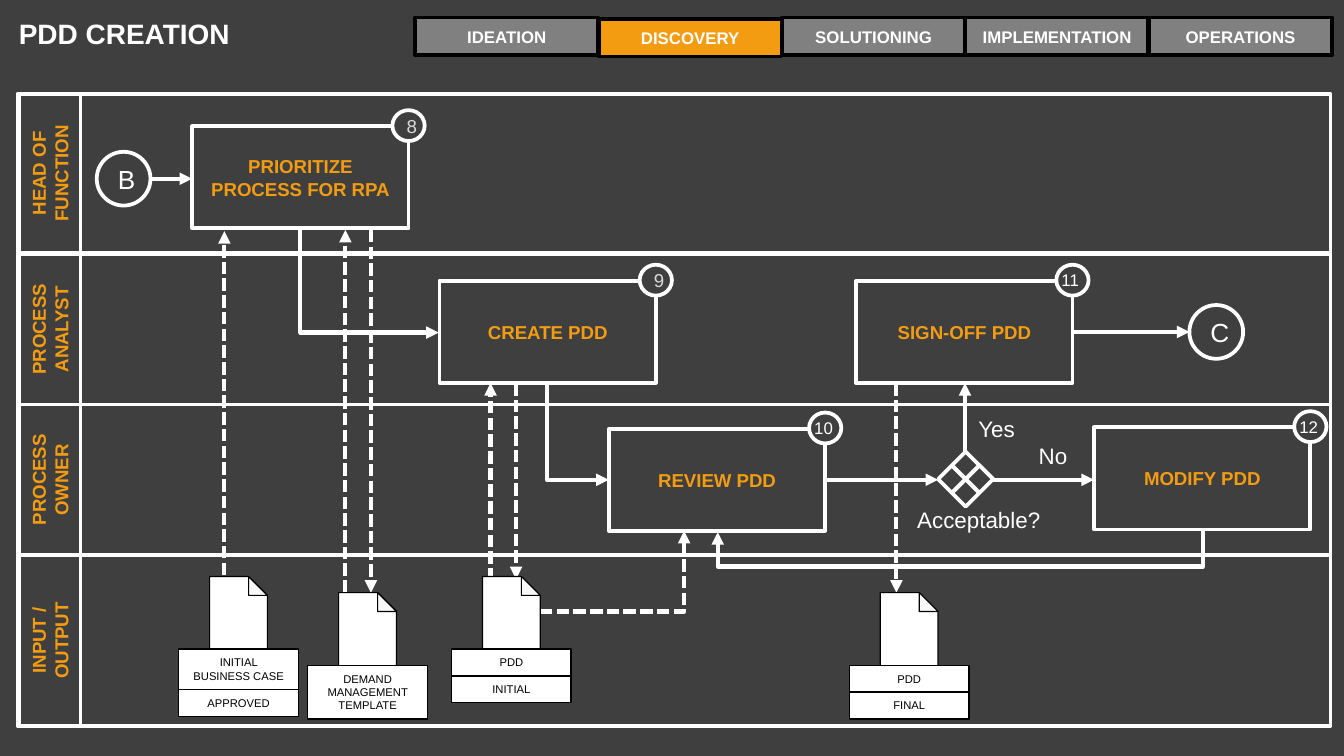
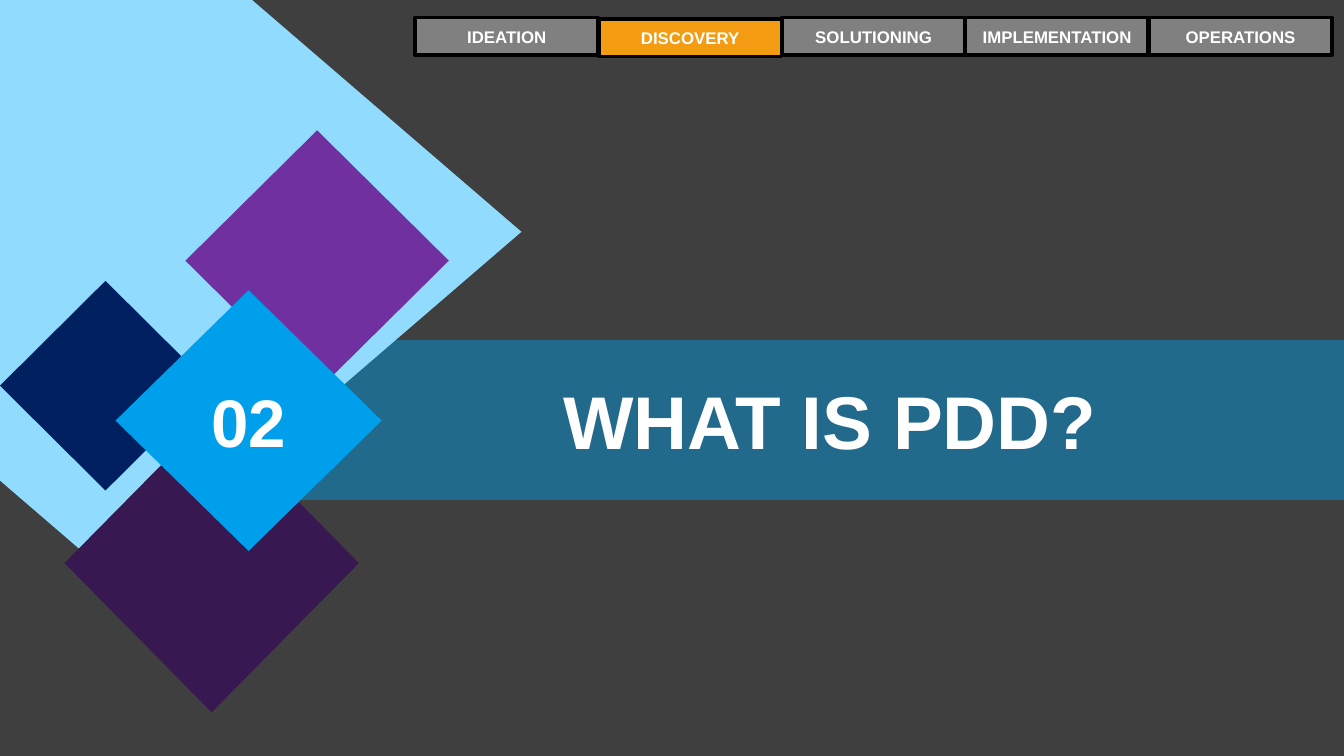
import pptx
import pptx.dml.color
import pptx.enum.dml
import pptx.enum.shapes
import pptx.enum.text
import pptx.oxml
import pptx.oxml.ns
import pptx.util
from dataclasses import dataclass

Inches, Pt = pptx.util.Inches, pptx.util.Pt
KIND = pptx.enum.shapes.MSO_SHAPE
LINK = pptx.enum.shapes.MSO_CONNECTOR
ALIGN = pptx.enum.text.PP_ALIGN
ANCHOR = pptx.enum.text.MSO_ANCHOR
FIT = pptx.enum.text.MSO_AUTO_SIZE
DASH = pptx.enum.dml.MSO_LINE.SQUARE_DOT
qn = pptx.oxml.ns.qn


@dataclass(frozen=True)
class Theme:
    font: str = "Arial"
    back: str = "3F3F3F"
    white: str = "FFFFFF"
    black: str = "000000"
    gold: str = "F39C11"
    gray: str = "808080"
    pale: str = "D9D9D9"
    fold: str = "F8F8F8"
    blue: str = "009FEB"
    sky: str = "91DBFF"
    plum: str = "381850"
    navy: str = "002060"
    violet: str = "7030A0"
    tiny: int = 6
    small: int = 9
    body: int = 10
    note: int = 12
    mark: int = 14
    head: int = 15
    number: int = 36
    big: int = 40
    edge: float = 2
    arrow: float = 2.25


T = Theme()

# Content: phases, lanes, steps
PHASES = ["IDEATION", "DISCOVERY", "SOLUTIONING", "IMPLEMENTATION", "OPERATIONS"]
ACTIVE = "DISCOVERY"
LANES = [  # label, top, height
    ("HEAD OF FUNCTION", 0.7, 1.18), ("PROCESS ANALYST", 1.89, 1.12),
    ("PROCESS OWNER", 3.01, 1.12), ("INPUT / OUTPUT", 4.13, 1.27),
]
STEPS = [  # number, label, left, top
    ("8", "PRIORITIZE PROCESS FOR RPA", 1.43, 0.94),
    ("9", "CREATE PDD", 3.27, 2.09), ("10", "REVIEW PDD", 4.53, 3.19),
    ("11", "SIGN-OFF PDD", 6.37, 2.09), ("12", "MODIFY PDD", 8.14, 3.18),
]
PORTS = [("B", 0.72, 1.13), ("C", 8.85, 2.27)]
NOTES = [  # text, box, wrap
    ("Acceptable?", (6.67, 3.72, 1.17, 0.3), True),
    ("No", (7.62, 3.24, 0.42, 0.3), False),
    ("Yes", (7.16, 3.04, 0.49, 0.3), False),
]
GATE = (6.98, 3.36, 0.41, 0.41)

# Content: arrows as from x, y, to x, y
FLOWS = [
    (1.12, 1.33, 1.43, 1.33), (6.14, 3.57, 6.98, 3.57), (7.18, 3.36, 7.18, 2.85),
    (7.38, 3.57, 8.14, 3.57), (7.98, 2.47, 8.85, 2.47),
]
DATA = [
    (2.76, 1.71, 2.76, 4.41), (2.57, 4.41, 2.57, 1.71), (1.67, 4.28, 1.67, 1.72),
    (3.84, 2.85, 3.84, 4.31), (3.65, 4.32, 3.65, 2.85), (6.67, 2.85, 6.67, 4.41),
]
BENDS = [  # frame before turning, turn, flip, preset, bend place, arrow end, dashed
    ((2.37, 1.58, 0.76, 1.03), 270, "flipH", "bentConnector2", None, "tailEnd", False),
    ((3.94, 2.98, 0.72, 0.46), 270, "flipH", "bentConnector2", None, "tailEnd", False),
    ((7.14, 2.15, 0.01, 3.61), 90, None, "bentConnector3", 27, "tailEnd", False),
    ((4.01, 3.95, 1.08, 0.6), 180, "flipV", "bentConnector3", 0, "headEnd", True),
]
DOCS = [  # left, top, captions with their line counts
    (1.33, 4.29, [("INITIAL BUSINESS CASE", 2), ("APPROVED", 1)]),
    (2.29, 4.41, [("DEMAND MANAGEMENT TEMPLATE", 3)]),
    (3.36, 4.29, [("PDD", 1), ("INITIAL", 1)]),
    (6.32, 4.41, [("PDD", 1), ("FINAL", 1)]),
]

# Content: section slide
GEMS = [
    ((-2.15, -0.87, 6.03, 5.19), T.sky), ((0.48, 3.08, 2.19, 2.22), T.plum),
    ((0, 2.09, 1.57, 1.56), T.navy), ((1.38, 0.97, 1.96, 1.94), T.violet),
    ((0.86, 2.16, 1.98, 1.94), T.blue),
]


# Drawing helpers
def rgb(code):
    return pptx.dml.color.RGBColor.from_string(code)


def assign(item, values):
    for name, value in values.items():
        setattr(item, name, value)


def place(item, box):
    assign(item, dict(zip(("left", "top", "width", "height"), map(Inches, box))))


def paint(shape, fill=None, line=None, width=T.edge):
    shape.shadow.inherit = False
    if fill:
        shape.fill.solid()
        shape.fill.fore_color.rgb = rgb(fill)
    else:
        shape.fill.background()
    if line:
        shape.line.color.rgb = rgb(line)
        shape.line.width = Pt(width)
    else:
        shape.line.fill.background()
    return shape


def write(shape, text, size, color=T.white, bold=False, align=ALIGN.CENTER, **frame):
    body = shape.text_frame
    assign(body, {"word_wrap": True, "vertical_anchor": ANCHOR.MIDDLE, **frame})
    para = body.paragraphs[0]
    para.alignment = align
    run = para.add_run()
    run.text = text
    assign(run.font, {"name": T.font, "size": Pt(size), "bold": bold})
    run.font.color.rgb = rgb(color)


def add(slide, kind, box, fill=None, line=None, width=T.edge):
    shape = slide.shapes.add_shape(kind, *map(Inches, box))
    return paint(shape, fill, line, width)


def label(slide, box, text, size, align, wrap):
    shape = slide.shapes.add_textbox(*map(Inches, box))
    write(shape, text, size, align=align, word_wrap=wrap,
          vertical_anchor=ANCHOR.TOP, auto_size=FIT.SHAPE_TO_FIT_TEXT)


def link(slide, ends, end="tailEnd", dashed=False, kind=LINK.STRAIGHT):
    wire = slide.shapes.add_connector(kind, *map(Inches, ends))
    wire.line.color.rgb = rgb(T.white)
    wire.line.width = Pt(T.arrow)
    if dashed:
        wire.line.dash_style = DASH
    props = wire._element.spPr
    if end:
        tip = pptx.oxml.ns.nsdecls("a")
        props.find(qn("a:ln")).append(
            pptx.oxml.parse_xml(f'<a:{end} {tip} type="triangle"/>'))
    props.append(props.makeelement(qn("a:effectLst"), {}))
    return wire


def bend(slide, box, turn, flip, preset, spot, end, dashed):
    x, y, w, h = box
    wire = link(slide, (x, y, x + w, y + h), end, dashed, LINK.ELBOW)
    props = wire._element.spPr
    frame, geom = props.find(qn("a:xfrm")), props.find(qn("a:prstGeom"))
    frame.set("rot", str(turn * 60000))
    if flip:
        frame.set(flip, "1")
    geom.set("prst", preset)
    if spot is not None:
        guides = geom.find(qn("a:avLst"))
        guides.append(guides.makeelement(
            qn("a:gd"), {"name": "adj1", "fmla": f"val {spot * 100000}"}))


def outline(slide, points, fill):
    start, *rest = [(Inches(x), Inches(y)) for x, y in points]
    path = slide.shapes.build_freeform(*start, scale=1.0)
    path.add_line_segments(rest, close=True)
    paint(path.convert_to_shape(), fill, T.black, 0.63)


# Parts shared by both slides
def start(deck, title, box, size, **frame):
    slide = deck.slides.add_slide(deck.slide_layouts[5])
    slide.background.fill.solid()
    slide.background.fill.fore_color.rgb = rgb(T.back)
    head = slide.shapes.title
    place(head, box)
    write(head, title, size, bold=True, align=ALIGN.LEFT,
          vertical_anchor=ANCHOR.TOP, **frame)
    return slide


def phases(slide):
    pitch = 5.46 / 4
    spots = [(name, 3.09 + i * pitch) for i, name in enumerate(PHASES)]
    for name, x in sorted(spots, key=lambda spot: spot[0] == ACTIVE):
        on = name == ACTIVE
        tab = add(slide, KIND.RECTANGLE, (x, 0.14 if on else 0.13, 1.36, 0.28),
                  T.gold if on else T.gray, T.black)
        write(tab, name, T.small, bold=True)


# Parts of the process map
def lane(slide, name, y, h):
    add(slide, KIND.RECTANGLE, (0.13, y, 9.77, h), line=T.white)
    deep = 0.46
    mid = 0.14 + deep / 2
    box = (mid - h / 2, y + h / 2 - deep / 2, h, deep)
    tag = add(slide, KIND.RECTANGLE, box, line=T.white)
    tag.rotation = 270
    write(tag, name, T.body, T.gold, True)


def step(slide, number, name, x, y):
    box = add(slide, KIND.RECTANGLE, (x, y, 1.61, 0.76), line=T.white)
    write(box, name, T.body, T.gold, True)
    left, top = x + 1.49, y - 0.12
    badge = add(slide, KIND.OVAL, (left, top, 0.24, 0.23), T.back, T.white)
    if len(number) == 1:
        write(badge, number, T.body, T.pale)
    else:
        label(slide, (left - 0.06, top - 0.01, 0.34, 0.25), number, T.small,
              ALIGN.LEFT, False)


def gate(slide):
    add(slide, KIND.FLOWCHART_DECISION, GATE, line=T.white)
    x, y, w, h = GATE
    mid, row, arm = x + w / 2, y + h / 2, 0.1
    for side in (arm, -arm):
        link(slide, (mid - side, row - arm, mid + side, row + arm), None)


def doc(slide, x, y, rows):
    left, right, fold = x + 0.23, x + 0.66, 0.14
    crease, low = right - fold, y + fold
    outline(slide, [(crease, y), (left, y), (left, y + 0.58),
                    (right, y + 0.58), (right, low)], T.white)
    outline(slide, [(crease, low), (right, low), (crease, y)], T.fold)
    top = y + 0.54
    for text, lines in rows:
        high = 0.1 + 0.1 * lines
        card = add(slide, KIND.RECTANGLE, (x, top, 0.89, high), T.white, T.black, 0.75)
        write(card, text, T.tiny, T.black, vertical_anchor=ANCHOR.TOP,
              auto_size=FIT.SHAPE_TO_FIT_TEXT)
        top += high


def process(deck):
    edge = Inches(0.1)
    sides = {f"margin_{side}": edge for side in ("left", "top", "right", "bottom")}
    slide = start(deck, "PDD CREATION", (0.04, 0.02, 3.21, 0.63), T.head,
                  auto_size=FIT.NONE, **sides)
    phases(slide)
    for row in LANES:
        lane(slide, *row)
    for row in STEPS:
        step(slide, *row)
    for name, x, y in PORTS:
        write(add(slide, KIND.OVAL, (x, y, 0.4, 0.4), line=T.white), name, T.mark)
    gate(slide)
    for text, box, wrap in NOTES:
        label(slide, box, text, T.note, ALIGN.RIGHT, wrap)
    for ends in FLOWS:
        link(slide, ends)
    for ends in DATA:
        link(slide, ends, dashed=True)
    for row in BENDS:
        bend(slide, *row)
    for row in DOCS:
        doc(slide, *row)


def section(deck):
    slide = start(deck, "WHAT IS PDD?", (4.09, 2.74, 4.25, 0.77), T.big,
                  word_wrap=False, auto_size=FIT.SHAPE_TO_FIT_TEXT)
    band = add(slide, KIND.RECTANGLE, (1.87, 2.53, 8.13, 1.19), T.blue)
    tint = band._element.spPr.find(qn("a:solidFill"))[0]
    tint.append(tint.makeelement(qn("a:alpha"), {"val": "45000"}))
    for box, color in GEMS:
        gem = add(slide, KIND.FLOWCHART_DECISION, box, color)
    write(gem, "02", T.number, bold=True)
    phases(slide)
    # Bring the title in front of the band
    slide.shapes._spTree.append(slide.shapes.title._element)


def main():
    deck = pptx.Presentation()
    wide = Inches(10)
    assign(deck, {"slide_width": wide, "slide_height": wide * 9 // 16})
    process(deck)
    section(deck)
    deck.save("out.pptx")


if __name__ == "__main__":
    main()
